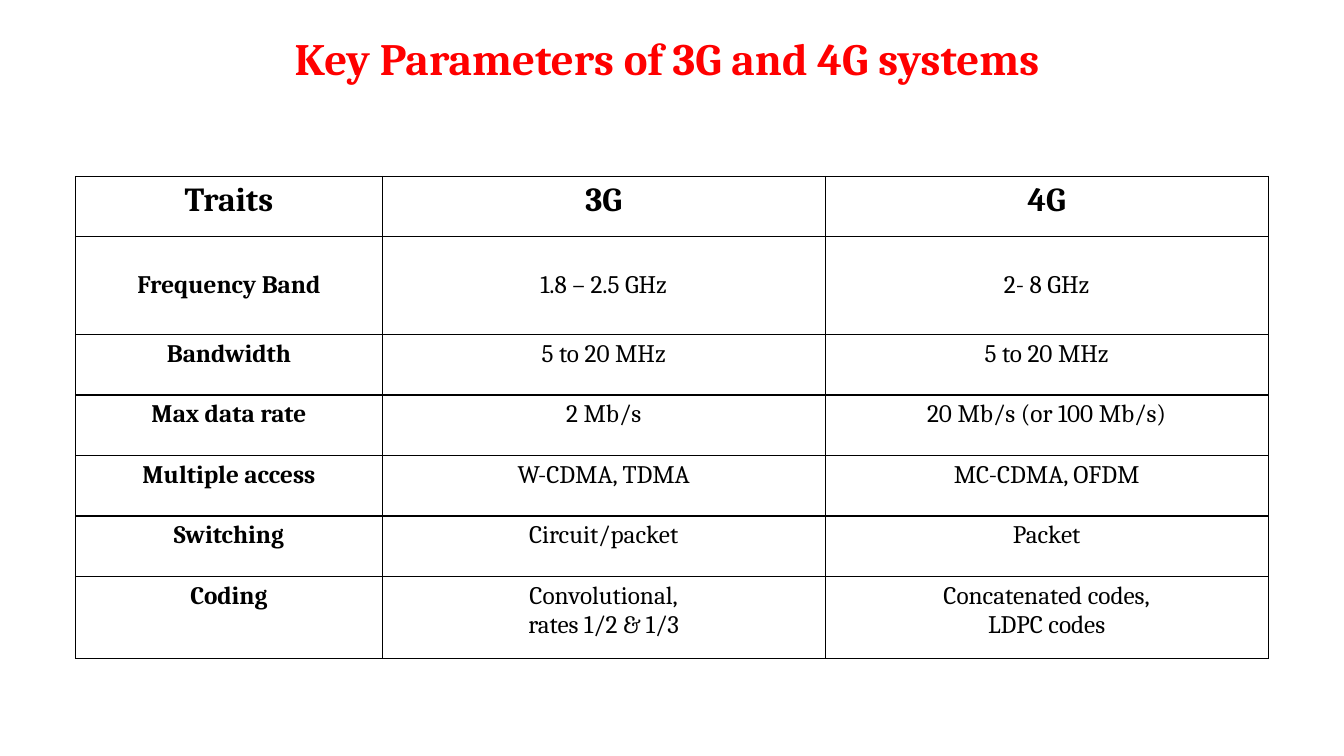
import pptx
import pptx.dml.color
import pptx.enum.text
import pptx.oxml
import pptx.oxml.ns
import pptx.util
from dataclasses import dataclass

WIDE, HIGH = pptx.util.Inches(13.33), pptx.util.Inches(7.5)
FONT = "Cambria"
HUES = {"title": "FF0000", "ink": "000000", "paper": "FFFFFF"}
COLS = (22.81, 32.96, 32.96)  # percent of slide width


@dataclass
class Trait:
    name: str
    third: str
    fourth: str
    high: float = 8  # percent of slide height
    size: int = 18
    head: bool = False
    middle: bool = False


TRAITS = [
    Trait("Traits", "3G", "4G", size=24, head=True),
    Trait("Frequency Band", "1.8 – 2.5 GHz", "2- 8 GHz", high=12.93, middle=True),
    Trait("Bandwidth", "5 to 20 MHz", "5 to 20 MHz"),
    Trait("Max data rate", "2 Mb/s", "20 Mb/s (or 100 Mb/s)"),
    Trait("Multiple access", "W-CDMA, TDMA", "MC-CDMA, OFDM"),
    Trait("Switching", "Circuit/packet", "Packet"),
    Trait("Coding", "Convolutional,\nrates 1/2 & 1/3",
          "Concatenated codes,\nLDPC codes", high=10.8),
]


def across(share: float) -> int:
    return round(WIDE * share / 100)


def down(share: float) -> int:
    return round(HIGH * share / 100)


def write(frame, text: str, size: int, hue: str, bold: bool) -> None:
    frame.text = text
    frame.word_wrap = True
    for para in frame.paragraphs:
        para.alignment = pptx.enum.text.PP_ALIGN.CENTER
        font = para.font
        font.name, font.size, font.bold = FONT, pptx.util.Pt(size), bold
        font.color.rgb = pptx.dml.color.RGBColor.from_string(HUES[hue])


def frame_cell(cell) -> None:
    """Fill the cell and rule its four sides."""
    cell.fill.solid()
    cell.fill.fore_color.rgb = pptx.dml.color.RGBColor.from_string(HUES["paper"])
    props = cell._tc.get_or_add_tcPr()
    for spot, side in enumerate(("lnL", "lnR", "lnT", "lnB")):
        props.insert(spot, pptx.oxml.parse_xml(
            f'<a:{side} {pptx.oxml.ns.nsdecls("a")} w="{pptx.util.Pt(1)}"><a:solidFill>'
            f'<a:srgbClr val="{HUES["ink"]}"/></a:solidFill></a:{side}>'))


def add_title(slide) -> None:
    box = slide.shapes.add_textbox(across(15.9), down(4), across(67.5), down(7.2))
    frame = box.text_frame
    frame.margin_left = frame.margin_right = frame.margin_top = frame.margin_bottom = 0
    write(frame, "Key Parameters of 3G and 4G systems", 32, "title", True)


def add_grid(slide) -> None:
    grid = slide.shapes.add_table(
        len(TRAITS), len(COLS), across(5.63), down(23.33),
        across(sum(COLS)), down(sum(trait.high for trait in TRAITS))).table
    grid.first_row = grid.horz_banding = False
    for col, share in zip(grid.columns, COLS):
        col.width = across(share)
    for row, trait in zip(grid.rows, TRAITS):
        row.height = down(trait.high)
        texts = (trait.name, trait.third, trait.fourth)
        for spot, (cell, text) in enumerate(zip(row.cells, texts)):
            write(cell.text_frame, text, trait.size, "ink", trait.head or spot == 0)
            if trait.middle:
                cell.vertical_anchor = pptx.enum.text.MSO_ANCHOR.MIDDLE
            frame_cell(cell)


def main() -> None:
    deck = pptx.Presentation()
    deck.slide_width, deck.slide_height = WIDE, HIGH
    slide = deck.slides.add_slide(deck.slide_layouts[6])
    add_title(slide)
    add_grid(slide)
    deck.save("out.pptx")


if __name__ == "__main__":
    main()
